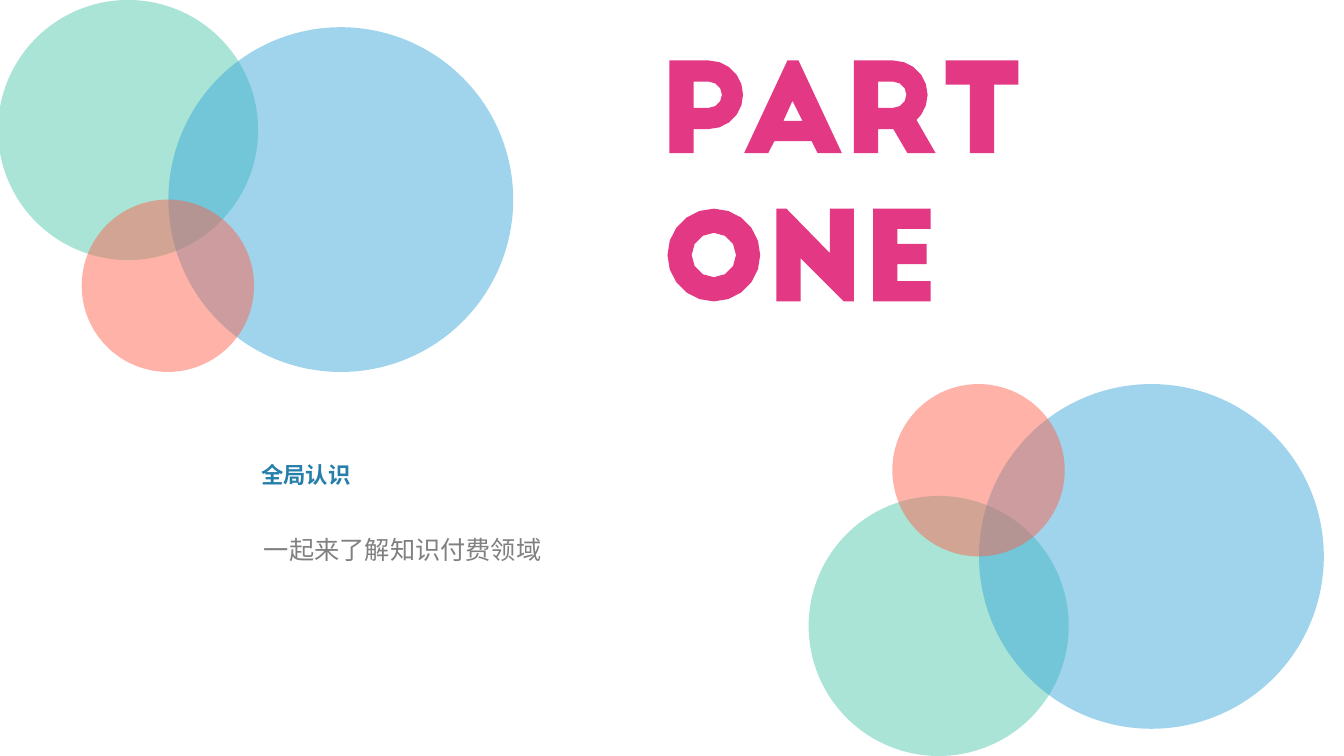
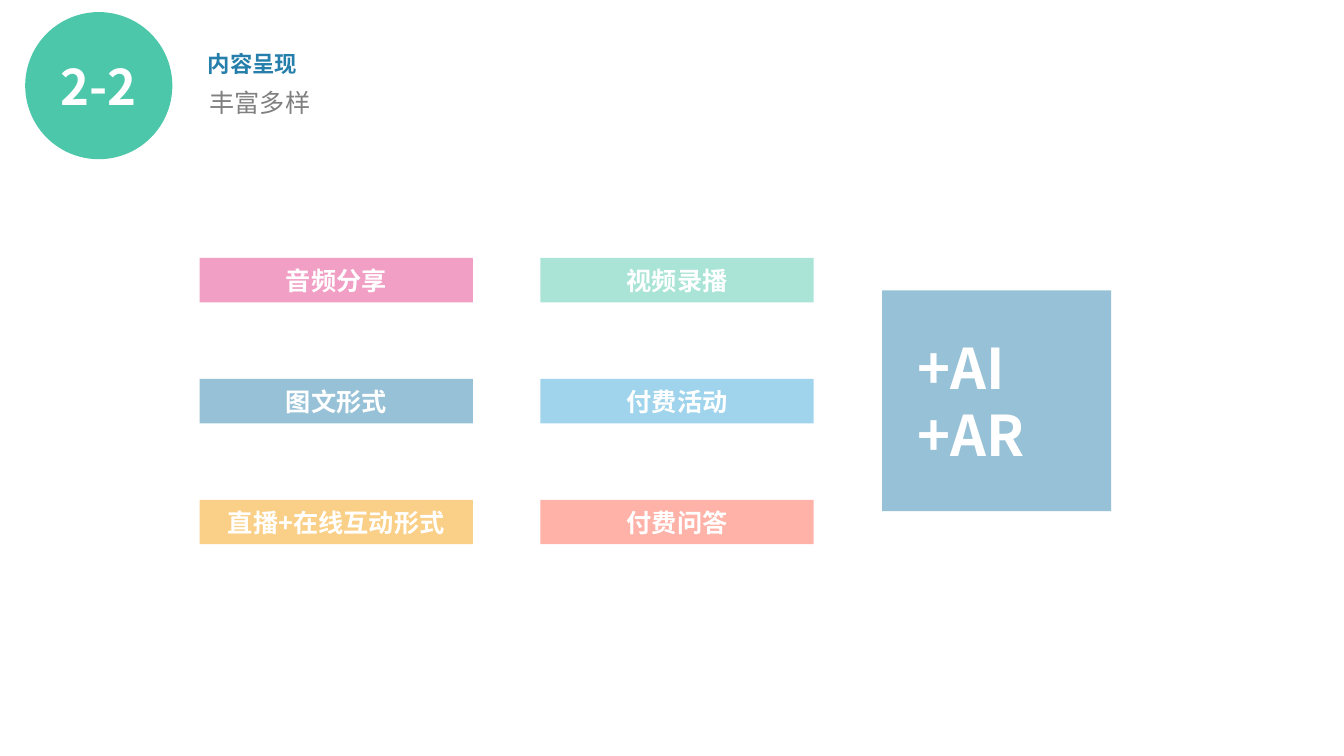
from math import cos, radians, sin

from lxml.etree import SubElement
from pptx import Presentation
from pptx.dml.color import RGBColor
from pptx.enum.shapes import MSO_SHAPE
from pptx.enum.text import MSO_ANCHOR, MSO_AUTO_SIZE, PP_ALIGN
from pptx.oxml.ns import qn
from pptx.util import Pt

PX = 9144  # 100 px to the inch
FONT = "Noto Sans CJK SC"
PINK = RGBColor(0xE3, 0x38, 0x84)
GREEN = RGBColor(0x4C, 0xC7, 0xAA)
BLUE = RGBColor(0x37, 0xA7, 0xD9)
RED = RGBColor(0xFE, 0x60, 0x4A)
ORANGE = RGBColor(0xF6, 0x9E, 0x08)
NAVY = RGBColor(0x26, 0x7F, 0xAB)
GREY = RGBColor(0x80, 0x80, 0x80)
WHITE = RGBColor(0xFF, 0xFF, 0xFF)
TINT = 48  # opacity in percent

# Left, top and diameter inside a cluster of circles
CLUSTER = [(0, 0, 258, GREEN), (169, 27, 342, BLUE), (83, 198, 171, RED)]
CLUSTER_HEIGHT = 369

TILES = [
    [("音频分享", PINK), ("视频录播", GREEN)],
    [("图文形式", NAVY), ("付费活动", BLUE)],
    [("直播+在线互动形式", ORANGE), ("付费问答", RED)],
]


def px(*lengths):
    return [round(length * PX) for length in lengths]


def style_text(frame, size, color, bold=False, align=PP_ALIGN.LEFT):
    for paragraph in frame.paragraphs:
        paragraph.alignment = align
        for run in paragraph.runs:
            font = run.font
            font.name, font.size, font.bold = FONT, Pt(size), bold
            font.color.rgb = color
            SubElement(font._element, qn("a:ea"), typeface=FONT)


def paint(shape, color, opacity=100):
    shape.shadow.inherit = False
    shape.line.fill.background()
    shape.fill.solid()
    shape.fill.fore_color.rgb = color
    if opacity < 100:
        tone = shape.fill._xPr.find(qn("a:solidFill"))[0]
        SubElement(tone, qn("a:alpha"), val=str(opacity * 1000))


def add_block(slide, kind, box, color, opacity=TINT):
    block = slide.shapes.add_shape(kind, *px(*box))
    paint(block, color, opacity)
    return block


def add_label(slide, kind, box, color, text, size, opacity=TINT,
              align=PP_ALIGN.CENTER):
    """Add a filled shape with bold white text in its middle."""
    block = add_block(slide, kind, box, color, opacity)
    frame = block.text_frame
    frame.text = text
    frame.vertical_anchor = MSO_ANCHOR.MIDDLE
    style_text(frame, size, WHITE, bold=True, align=align)
    return block


def set_title(slide, box, text):
    title = slide.shapes.title
    title.left, title.top, title.width, title.height = px(*box)
    frame = title.text_frame
    frame.text = text
    frame.auto_size = MSO_AUTO_SIZE.NONE
    frame.vertical_anchor = MSO_ANCHOR.TOP
    frame.margin_left, frame.margin_top, frame.margin_right, frame.margin_bottom = px(8, 4, 8, 4)
    style_text(frame, 20, NAVY, bold=True)
    frame.paragraphs[0].runs[0].font._element.set("cap", "small")


def add_subtitle(slide, box, text):
    frame = slide.shapes.add_textbox(*px(*box)).text_frame
    frame.word_wrap = True
    frame.text = text
    style_text(frame, 18, GREY)


def add_cluster(slide, left, top, flipped=False):
    for x, y, size, color in CLUSTER:
        if flipped:
            y = CLUSTER_HEIGHT - y - size
        add_block(slide, MSO_SHAPE.OVAL, (left + x, top + y, size, size), color)


def arc(x, y, radius, end=90, step=18):
    """Points on a circle around (x, y), clockwise from its top."""
    return [(x + radius * cos(radians(a)), y + radius * sin(radians(a)))
            for a in range(-90, end + 1, step)]


def part_one_outlines():
    """Contours of the letters; a contour inside another is a hole."""
    bowl = [(688, 81), *arc(703, 94, 13, step=30), (688, 107)]
    return [
        # P
        [(664, 60), *arc(703, 94, 34), (688, 128), (688, 152), (664, 152)],
        bowl,
        # A
        [(781, 60), (792, 60), (835, 152), (811, 152), (805, 140),
         (768, 140), (762, 152), (738, 152)],
        [(786, 100), (777, 120), (796, 120)],
        # R
        [(847, 60), *arc(886, 94, 34, end=36), (909, 119), (928, 152),
         (900, 152), (886, 128), (871, 128), (871, 152), (847, 152)],
        [(x + 183, y) for x, y in bowl],
        # T
        [(938, 60), (1010, 60), (1010, 84), (986, 84), (986, 152),
         (962, 152), (962, 84), (938, 84)],
        # O
        arc(708, 253, 46, end=252),
        arc(708, 253, 22, end=240, step=30),
        # N
        [(770, 207), (780, 207), (823, 251), (823, 207), (847, 207),
         (847, 299), (837, 299), (794, 256), (794, 299), (770, 299)],
        # E
        [(866, 207), (923, 207), (923, 227), (890, 227), (890, 242),
         (919, 242), (919, 262), (890, 262), (890, 279), (923, 279),
         (923, 299), (866, 299)],
    ]


def add_lettering(slide, outlines, color):
    first, *others = [[px(*point) for point in outline] for outline in outlines]
    builder = slide.shapes.build_freeform(*first[0])
    builder.add_line_segments(first[1:], close=True)
    for contour in others:
        builder.move_to(*contour[0])
        builder.add_line_segments(contour[1:], close=True)
    paint(builder.convert_to_shape(), color)


def build_section(slide):
    add_lettering(slide, part_one_outlines(), PINK)
    add_cluster(slide, -2, 0)
    add_cluster(slide, 802, 381, flipped=True)
    set_title(slide, (251, 448, 128, 41), "全局认识")
    add_subtitle(slide, (252, 525, 490, 40), "一起来了解知识付费领域")


def build_formats(slide):
    add_label(slide, MSO_SHAPE.OVAL, (25, 12, 146, 146), GREEN, "2-2", 35,
              opacity=100)
    set_title(slide, (198, 40, 575, 41), "内容呈现")
    add_subtitle(slide, (198, 82, 883, 40), "丰富多样")
    for row, tiles in enumerate(TILES):
        for column, (text, color) in enumerate(tiles):
            box = (198 + 338 * column, 256 + 120 * row, 271, 44)
            add_label(slide, MSO_SHAPE.RECTANGLE, box, color, text, 18)
    extras = add_label(slide, MSO_SHAPE.RECTANGLE, (875, 288, 227, 219), NAVY,
                       "+AI\n+AR", 40, align=PP_ALIGN.LEFT)
    extras.text_frame.margin_left = 35 * PX


def main():
    deck = Presentation()
    deck.slide_width, deck.slide_height = px(1333, 750)
    title_only = deck.slide_layouts[5]
    for build in (build_section, build_formats):
        build(deck.slides.add_slide(title_only))
    deck.save("out.pptx")


if __name__ == "__main__":
    main()
